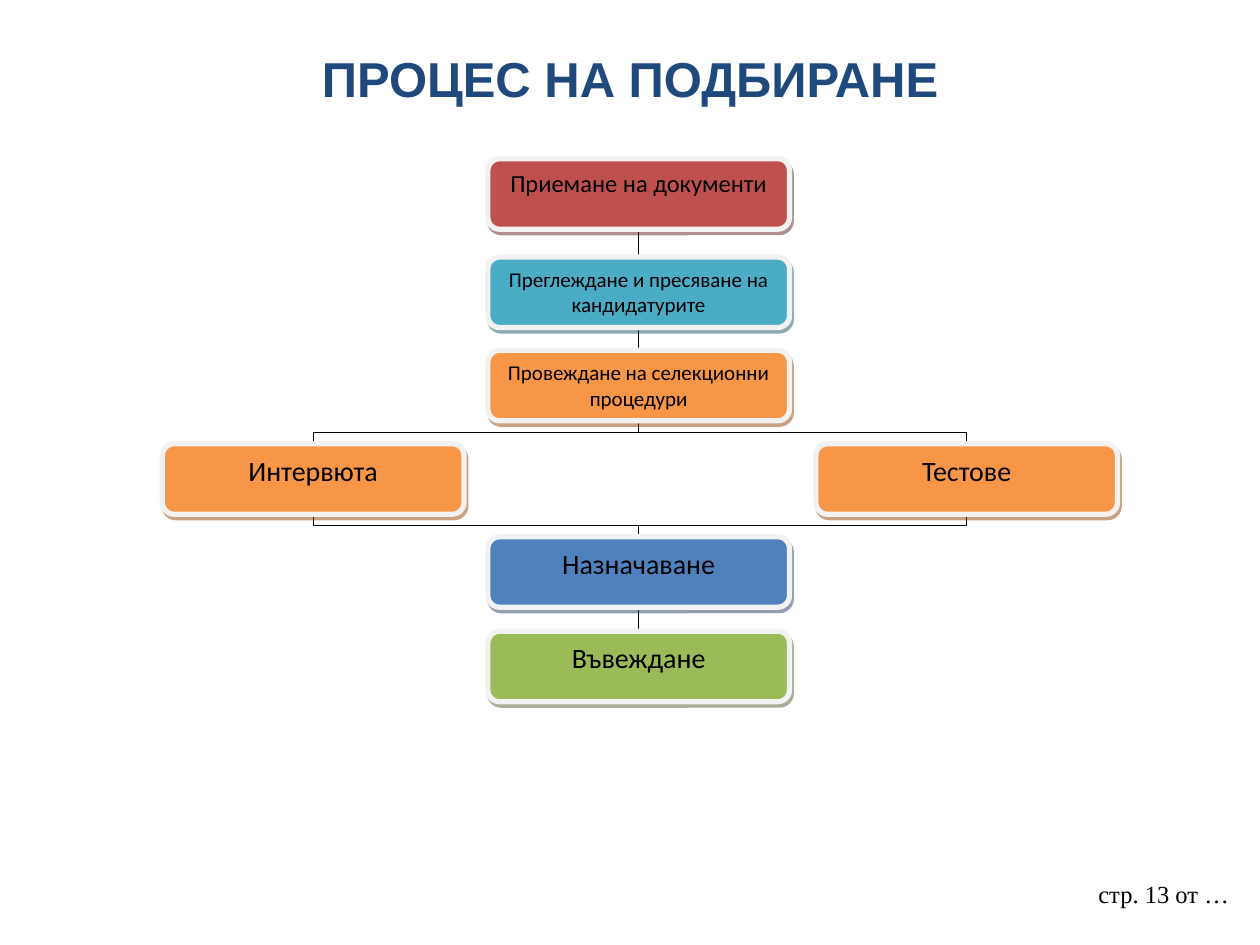
import pptx
import pptx.util
import pptx.dml.color
import pptx.enum.shapes
import pptx.enum.text
import pptx.oxml
import pptx.oxml.ns

Pt = pptx.util.Pt
RGB = pptx.dml.color.RGBColor.from_string
KIND = pptx.enum.shapes.MSO_CONNECTOR
ALIGN = pptx.enum.text.PP_ALIGN
ANCHOR = pptx.enum.text.MSO_ANCHOR
NS = pptx.oxml.ns.nsdecls("a")

theme = {
    "ink": "000000", "title": "1F497D", "edge": "F2F2F2",
    # fill and shadow of each kind of step
    "red": ("C0504D", "622423"), "teal": ("4BACC6", "205867"),
    "orange": ("F79646", "974706"), "blue": ("4F81BD", "243F60"),
    "green": ("9BBB59", "4E6128"),
    "head": 28, "large": 16, "mid": 14, "small": 12,
}


def write(frame, text, face, size, color, bold=False, align=ALIGN.CENTER):
    frame.word_wrap = True
    para = frame.paragraphs[0]
    para.alignment = align
    run = para.add_run()
    run.text = text
    look = {"name": face, "size": Pt(size), "bold": bold}
    for key, value in look.items():
        setattr(run.font, key, value)
    run.font.color.rgb = RGB(color)


def link(kind, x1, y1, x2, y2):
    wire = slide.shapes.add_connector(kind, Pt(x1), Pt(y1), Pt(x2), Pt(y2))
    wire.line.color.rgb = RGB(theme["ink"])
    wire.line.width = Pt(0.75)
    wire._element.spPr.append(pptx.oxml.parse_xml(f"<a:effectLst {NS}/>"))
    # Lines lie behind the steps
    slide.shapes._spTree.insert(2, wire._element)
    return wire


deck = pptx.Presentation()
deck.slide_width, deck.slide_height = Pt(720), Pt(540)
slide = deck.slides.add_slide(deck.slide_layouts[5])

# Title
title = slide.shapes.title
place = {"left": 36, "top": 21.6, "width": 648, "height": 49.7}
for key, value in place.items():
    setattr(title, key, Pt(value))
title.text_frame.vertical_anchor = ANCHOR.MIDDLE
title.text_frame.margin_bottom = Pt(7.5)
write(title.text_frame, "ПРОЦЕС НА ПОДБИРАНЕ", "Arial", theme["head"],
      theme["title"], True)

# Steps: name, text, centre, top, colour, type size
wide, high = 172.4, 40.3
left, mid, right = 179, 365, 552.4
steps = [
    ("apply", "Приемане на документи", mid, 90.7, "red", "mid"),
    ("sift", "Преглеждане и пресяване на кандидатурите", mid, 146.9, "teal", "small"),
    ("select", "Провеждане на селекционни процедури", mid, 200.2, "orange", "small"),
    ("talk", "Интервюта", left, 253.6, "orange", "large"),
    ("test", "Тестове", right, 253.6, "orange", "large"),
    ("hire", "Назначаване", mid, 306.7, "blue", "large"),
    ("start", "Въвеждане", mid, 360.7, "green", "large"),
]
boxes, spots = {}, {}
for name, text, x, y, tone, size in steps:
    box = slide.shapes.add_shape(
        pptx.enum.shapes.MSO_SHAPE.ROUNDED_RECTANGLE,
        Pt(x - wide / 2), Pt(y), Pt(wide), Pt(high))
    fill, shade = theme[tone]
    box.fill.solid()
    box.fill.fore_color.rgb = RGB(fill)
    box.line.color.rgb = RGB(theme["edge"])
    box.line.width = Pt(3)
    box._element.spPr.append(pptx.oxml.parse_xml(
        f'<a:effectLst {NS}><a:outerShdw dist="{Pt(2.2)}" dir="{63 * 60000}" '
        f'algn="ctr" rotWithShape="0"><a:srgbClr val="{shade}">'
        '<a:alpha val="50000"/></a:srgbClr></a:outerShdw></a:effectLst>'))
    box.text_frame.vertical_anchor = ANCHOR.TOP
    write(box.text_frame, text, "Calibri", theme[size], theme["ink"])
    boxes[name], spots[name] = box, (x, y)

# Straight links
for above, below in (("apply", "sift"), ("sift", "select"), ("hire", "start")):
    wire = link(KIND.STRAIGHT, 0, 0, 0, 0)
    wire.begin_connect(boxes[above], 2)
    wire.end_connect(boxes[below], 0)

# Bent links, turned so that they leave and arrive upright
for above, below in (("select", "talk"), ("select", "test"),
                     ("talk", "hire"), ("test", "hire")):
    (x1, y1), (x2, y2) = spots[above], spots[below]
    y1 += high
    x, y = (x1 + x2) / 2, (y1 + y2) / 2
    run, drop = abs(x2 - x1) / 2, (y2 - y1) / 2
    side = -1 if x2 > x1 else 1
    wire = link(KIND.ELBOW, x - side * drop, y - run, x + side * drop, y + run)
    wire._element.spPr.xfrm.set("rot", str((180 - 90 * side) * 60000))

# Page mark
page = slide.shapes.add_textbox(Pt(620.6), Pt(499), Pt(93.6), Pt(37.4))
write(page.text_frame, "стр. 13 от …", "Times New Roman", theme["mid"],
      theme["ink"], align=ALIGN.LEFT)

deck.save("out.pptx")
